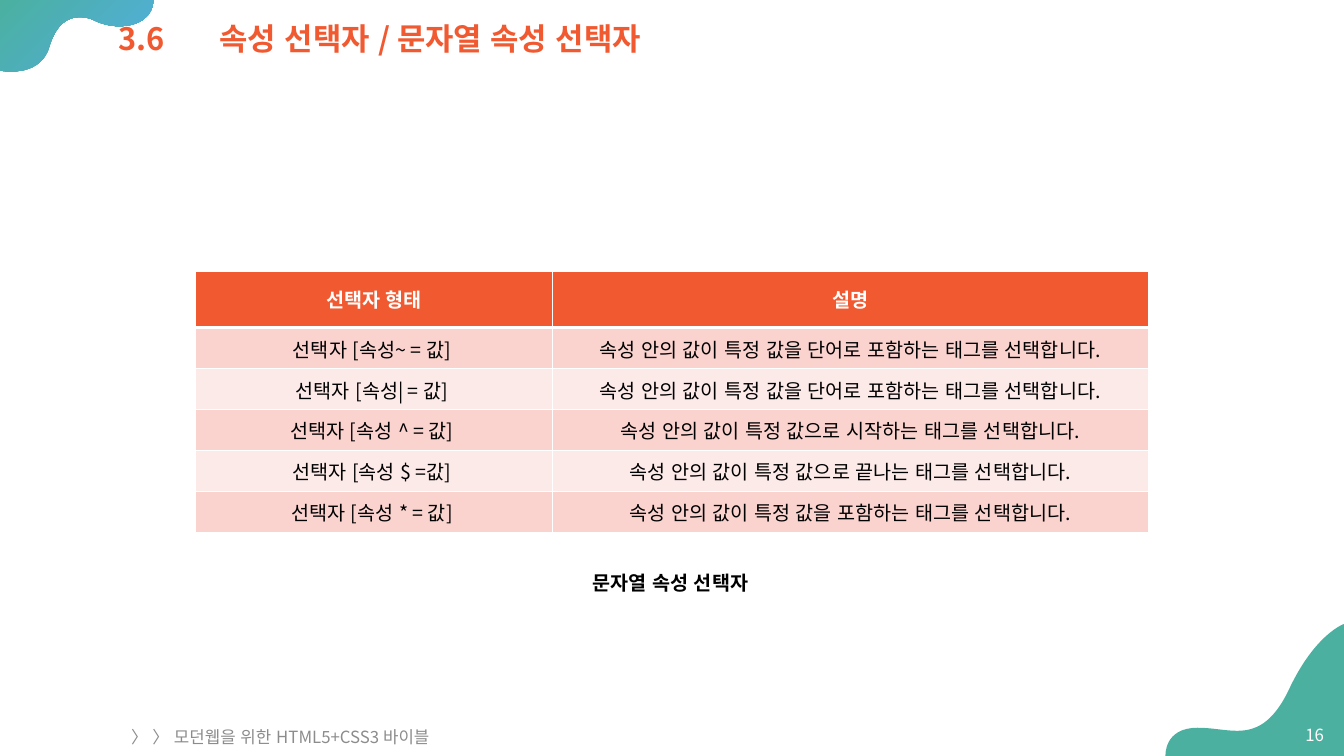
from dataclasses import dataclass

from lxml import etree
from pptx import Presentation
from pptx import util as u
from pptx.dml.color import RGBColor
from pptx.enum import lang
from pptx.enum import text as t
from pptx.oxml import ns

PX = 9144  # EMU in one px, 100 px to the inch
FONT = "Noto Sans CJK KR"
WIDE, HIGH = 1333, 750
ORANGE, TEAL, BLUE = "F15A31", "4BB0A0", "52AEE1"
WHITE, BLACK, GRAY = "FFFFFF", "000000", "8C8C8C"
BANDS = ("FAD2CE", "FCEAE8")
LEFT, MID, RIGHT = t.PP_ALIGN.LEFT, t.PP_ALIGN.CENTER, t.PP_ALIGN.RIGHT


@dataclass
class Style:
    size: int
    color: str
    bold: bool = False
    align: t.PP_ALIGN = LEFT
    line: float = 1.0
    tab: int = 0


@dataclass
class Label:
    words: str
    box: tuple[int, int, int, int]
    style: Style
    wrap: bool = True


@dataclass
class Blob:
    start: tuple[int, int]
    steps: list[tuple[int, ...]]  # two numbers: line, six: curve
    colors: tuple[str, ...]


LABELS = [
    Label("3.6\t속성 선택자 / 문자열 속성 선택자", (108, 19, 1225, 43),
          Style(22, ORANGE, True, line=0.9, tab=100)),
    Label("문자열 속성 선택자", (578, 561, 178, 34), Style(14, BLACK, True), wrap=False),
    Label("16", (1279, 709, 44, 40), Style(12, WHITE, align=RIGHT)),
    Label("〉 〉 모던웹을 위한 HTML5+CSS3 바이블", (53, 719, 450, 24),
          Style(12, GRAY, align=MID)),
]

BLOBS = [
    Blob((152, 0), [(0, 0), (0, 70), (0, 70, 4, 71, 11, 71), (24, 71, 43, 67, 49, 46),
                    (56, 23, 68, 17, 79, 17), (84, 17, 89, 18, 93, 20),
                    (101, 24, 110, 26, 118, 26), (137, 26, 152, 17, 152, 0)],
         (TEAL, BLUE)),
    Blob((1333, 619), [(1333, 619, 1304, 629, 1278, 685), (1262, 718, 1245, 725, 1227, 725),
                       (1215, 725, 1202, 722, 1188, 722), (1154, 722, 1156, 750, 1156, 750),
                       (1333, 750)],
         (TEAL,)),
]

COLS = (354, 591)
HEAD, BODY = 56, 203
ROWS = [
    ("선택자 형태", "설명"),
    ("선택자 [속성~ = 값] ", "속성 안의 값이 특정 값을 단어로 포함하는 태그를 선택합니다."),
    ("선택자 [속성| = 값] ", "속성 안의 값이 특정 값을 단어로 포함하는 태그를 선택합니다."),
    ("선택자 [속성 ^ = 값] ", "속성 안의 값이 특정 값으로 시작하는 태그를 선택합니다."),
    ("선택자 [속성 $ =값] ", "속성 안의 값이 특정 값으로 끝나는 태그를 선택합니다."),
    ("선택자 [속성 * = 값] ", "속성 안의 값이 특정 값을 포함하는 태그를 선택합니다."),
]


def px(n: float) -> int:
    return round(n * PX)


def rgb(code: str) -> RGBColor:
    return RGBColor.from_string(code)


def write(frame, words: str, style: Style) -> None:
    para = frame.paragraphs[0]
    para.alignment = style.align
    para.line_spacing = style.line
    if style.tab:
        tabs = etree.SubElement(para._p.get_or_add_pPr(), ns.qn("a:tabLst"))
        etree.SubElement(tabs, ns.qn("a:tab"), pos=str(px(style.tab)), algn="l")
    run = para.add_run()
    run.text = words
    font = run.font
    font.size, font.bold, font.name = u.Pt(style.size), style.bold, FONT
    font.color.rgb = rgb(style.color)
    font.language_id = lang.MSO_LANGUAGE_ID.KOREAN
    # East Asian typeface, no pair kerning
    props = run._r.get_or_add_rPr()
    props.set("kern", "0")
    etree.SubElement(props, ns.qn("a:ea"), typeface=FONT)


def add_label(slide, label: Label) -> None:
    frame = slide.shapes.add_textbox(*map(px, label.box)).text_frame
    frame.word_wrap = label.wrap
    frame.vertical_anchor = t.MSO_ANCHOR.MIDDLE
    write(frame, label.words, label.style)


def bend(shape, steps: list[tuple[int, ...]]) -> None:
    """Turn the straight sides that have control points into curves."""
    sides = list(shape._element.iter(ns.qn("a:lnTo")))
    for side, step in zip(sides, steps):
        if len(step) == 6:
            curve = etree.Element(ns.qn("a:cubicBezTo"))
            for x, y in zip(step[::2], step[1::2]):
                etree.SubElement(curve, ns.qn("a:pt"), x=str(px(x) - shape.left),
                                 y=str(px(y) - shape.top))
            side.getparent().replace(side, curve)


def add_blob(slide, blob: Blob) -> None:
    x, y = blob.start
    pen = slide.shapes.build_freeform(px(x), px(y))
    pen.add_line_segments([(px(s[-2]), px(s[-1])) for s in blob.steps], close=True)
    shape = pen.convert_to_shape()
    bend(shape, blob.steps)
    shape.shadow.inherit = False
    shape.line.fill.background()
    if len(blob.colors) == 1:
        shape.fill.solid()
        shape.fill.fore_color.rgb = rgb(blob.colors[0])
    else:
        shape.fill.gradient()
        shape.fill.gradient_angle = 315
        for stop, code, place in zip(shape.fill.gradient_stops, blob.colors, (0, 1)):
            stop.color.rgb = rgb(code)
            stop.position = place


def edge(cell, top: int, bottom: int) -> None:
    props = cell._tc.get_or_add_tcPr()
    for i, (side, wide) in enumerate(zip("LRTB", (1, 1, top, bottom))):
        line = etree.Element(ns.qn(f"a:ln{side}"), w=str(u.Pt(wide)))
        fill = etree.SubElement(line, ns.qn("a:solidFill"))
        etree.SubElement(fill, ns.qn("a:srgbClr"), val=WHITE)
        props.insert(i, line)


def add_grid(slide, left: int, top: int) -> None:
    table = slide.shapes.add_table(len(ROWS), len(COLS), px(left), px(top),
                                   px(sum(COLS)), px(HEAD + BODY)).table
    for col, wide in zip(table.columns, COLS):
        col.width = px(wide)
    for r, row in enumerate(ROWS):
        head = r == 0
        table.rows[r].height = px(HEAD if head else BODY / (len(ROWS) - 1))
        for c, words in enumerate(row):
            cell = table.cell(r, c)
            cell.vertical_anchor = t.MSO_ANCHOR.MIDDLE
            if not head:
                cell.margin_left = cell.margin_right = cell.margin_top = px(1)
                cell.margin_bottom = 0
            cell.fill.solid()
            cell.fill.fore_color.rgb = rgb(ORANGE if head else BANDS[(r - 1) % 2])
            edge(cell, 3 if r == 1 else 1, 3 if head else 1)
            write(cell.text_frame, words, Style(14, WHITE if head else BLACK, head, MID))


def main() -> None:
    deck = Presentation()
    deck.slide_width, deck.slide_height = px(WIDE), px(HIGH)
    slide = deck.slides.add_slide(deck.slide_layouts[6])
    # Corner waves
    for blob in BLOBS:
        add_blob(slide, blob)
    # Selector table
    add_grid(slide, 194, 269)
    # Title, caption, page number and footer
    for label in LABELS:
        add_label(slide, label)
    deck.save("out.pptx")


if __name__ == "__main__":
    main()
